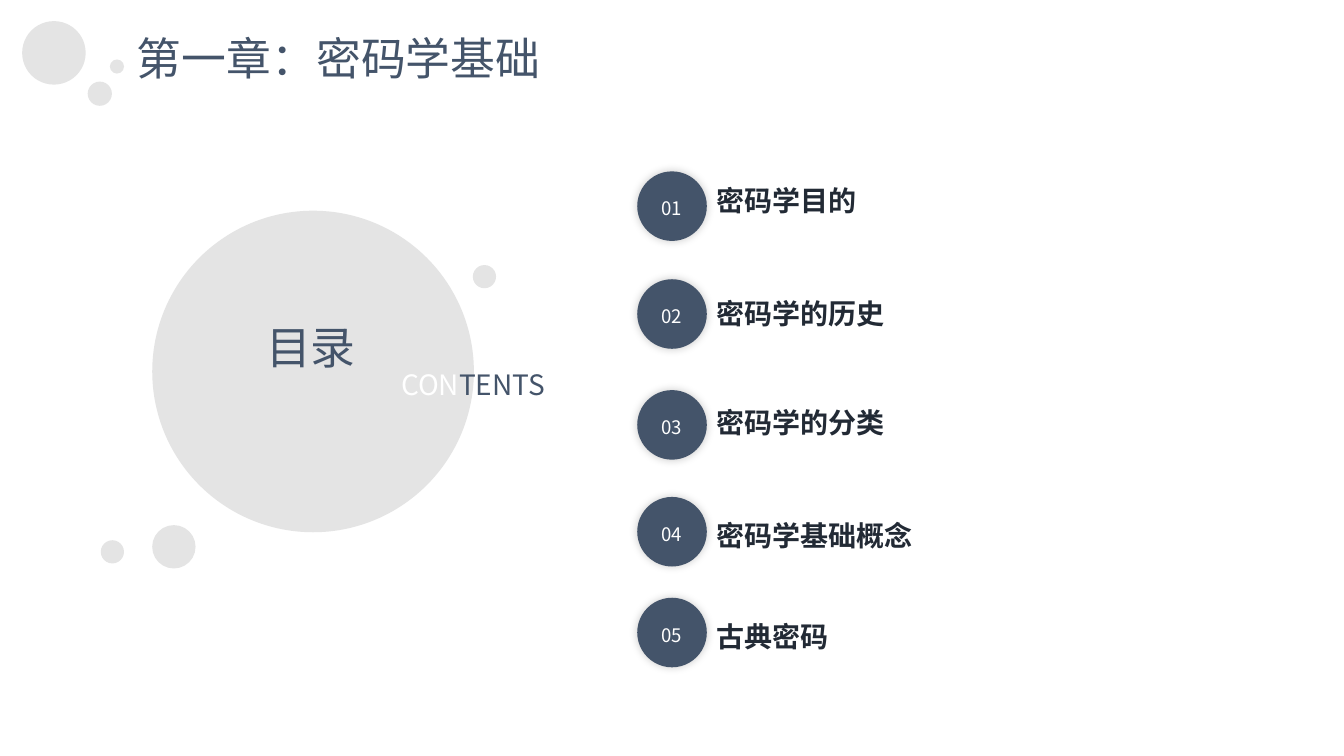
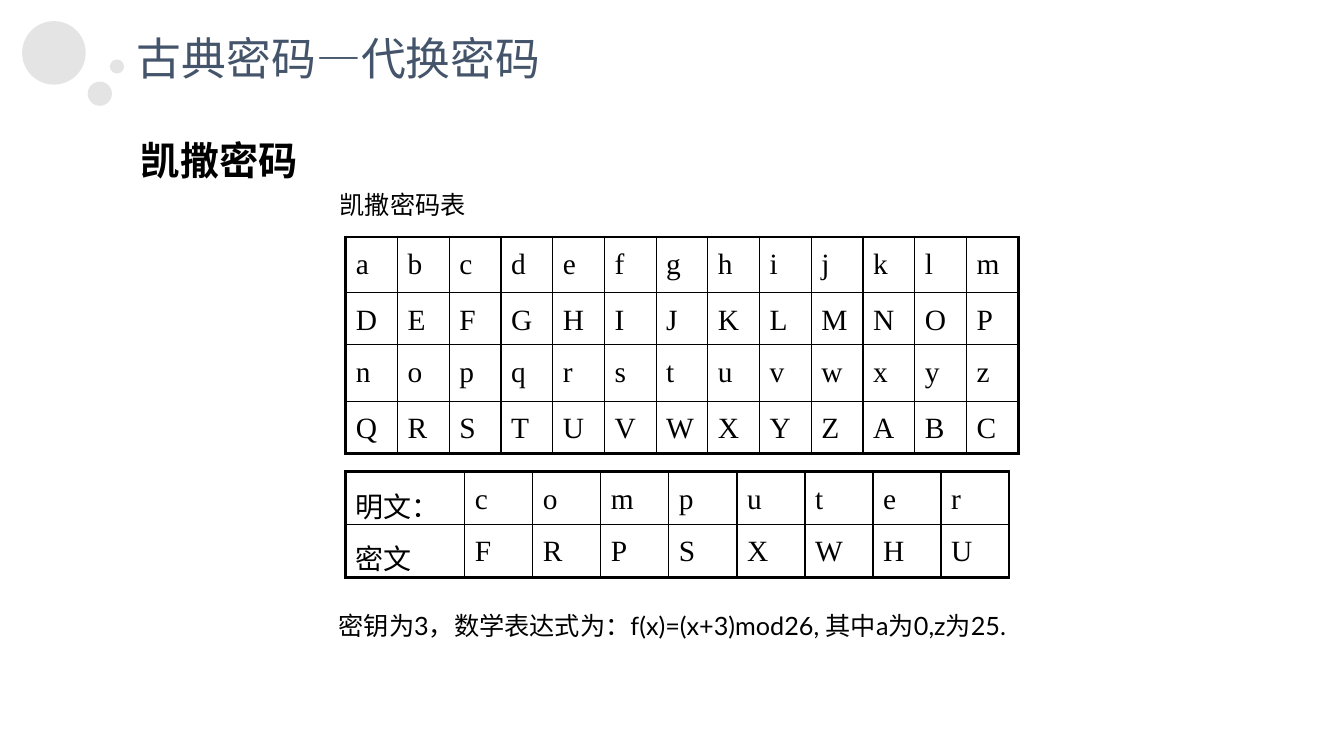
from lxml import etree
from pptx import Presentation
from pptx.dml.color import RGBColor
from pptx.enum.shapes import MSO_SHAPE
from pptx.enum.text import MSO_ANCHOR, MSO_AUTO_SIZE, PP_ALIGN
from pptx.oxml.ns import qn
from pptx.util import Inches, Pt

CIRCLE = MSO_SHAPE.OVAL
BUBBLE = MSO_SHAPE.FLOWCHART_CONNECTOR
MIDDLE = MSO_ANCHOR.MIDDLE
GROW = MSO_AUTO_SIZE.SHAPE_TO_FIT_TEXT
LEFT, CENTER, JUSTIFY = PP_ALIGN.LEFT, PP_ALIGN.CENTER, PP_ALIGN.JUSTIFY

SLATE, INK, GRAY = "44546A", "222A35", "D9D9D9"
WHITE, BLACK = "FFFFFF", "000000"
CHINESE, BODY, SERIF = "Noto Sans CJK SC", "Lato", "Times New Roman"
THICK, THIN = 2.25, 1

CORNER_BUBBLES = [(0.22, 0.21, 0.63), (0.87, 0.81, 0.24), (1.09, 0.59, 0.14)]
CONTENTS_BUBBLES = [
    (1.51, 2.09, 3.19),
    (1.51, 5.21, 0.43),
    (1.0, 5.36, 0.23),
    (4.69, 2.63, 0.23),
]
AGENDA = [
    ("密码学目的", 1.7, 1.85),
    ("密码学的历史", 2.77, 2.98),
    ("密码学的分类", 3.87, 4.06),
    ("密码学基础概念", 4.93, 5.18),
    ("古典密码", 5.93, 6.18),
]
ALPHABET_ROWS = ["abcdefghijklm", "DEFGHIJKLMNOP", "nopqrstuvwxyz", "QRSTUVWXYZABC"]
EXAMPLE_ROWS = [["明文：", *"computer"], ["密文", *"FRPSXWHU"]]


def color(value):
    return RGBColor.from_string(value)


def add_run(paragraph, text, size, value, font=CHINESE, bold=False):
    run = paragraph.add_run()
    run.text = text
    run.font.size = Pt(size)
    run.font.name = font
    run.font.bold = bold
    run.font.color.rgb = color(value)
    east_asian = etree.SubElement(run.font._element, qn("a:ea"))
    east_asian.set("typeface", CHINESE)


def add_text(shapes, box, runs, align=LEFT, wrap=True, spacing=None, before=None):
    shape = shapes.add_textbox(*map(Inches, box))
    frame = shape.text_frame
    frame.word_wrap = wrap
    frame.auto_size = GROW
    paragraph = frame.paragraphs[0]
    paragraph.alignment = align
    paragraph.line_spacing = spacing
    paragraph.space_before = before
    for run in runs:
        add_run(paragraph, *run)


def add_circle(shapes, kind, left, top, size, value):
    shape = shapes.add_shape(kind, *map(Inches, (left, top, size, size)))
    shape.shadow.inherit = False
    shape.fill.solid()
    shape.fill.fore_color.rgb = color(value)
    shape.line.fill.background()
    return shape


def set_alpha(color_element, percent):
    etree.SubElement(color_element, qn("a:alpha")).set("val", str(percent * 1000))


def add_bubbles(shapes, bubbles):
    result = []
    for left, top, size in bubbles:
        shape = add_circle(shapes, BUBBLE, left, top, size, GRAY)
        set_alpha(shape.element.spPr.find(f"{qn('a:solidFill')}/{qn('a:srgbClr')}"), 70)
        result.append(shape)
    return result


def add_soft_shadow(shape):
    effects = shape.element.spPr.find(qn("a:effectLst"))
    shadow = etree.SubElement(effects, qn("a:outerShdw"))
    shadow.set("blurRad", str(Pt(6)))
    shadow.set("dist", "0")
    shadow.set("dir", str(315 * 60000))
    shadow_color = etree.SubElement(shadow, qn("a:srgbClr"))
    shadow_color.set("val", BLACK)
    set_alpha(shadow_color, 20)


def add_agenda_entry(slide, number, label, circle_top, label_top):
    shapes = slide.shapes.add_group_shape().shapes
    circle = add_circle(shapes, CIRCLE, 6.32, circle_top, 0.69, SLATE)
    add_soft_shadow(circle)
    frame = circle.text_frame
    frame.margin_left = frame.margin_right = frame.margin_top = frame.margin_bottom = 0
    frame.vertical_anchor = MIDDLE
    paragraph = frame.paragraphs[0]
    paragraph.alignment = CENTER
    paragraph.line_spacing = 1.2
    add_run(paragraph, f"{number:02}", 13.3, WHITE)
    add_text(shapes, (7.01, label_top, 4.82, 0.35), [(label, 20, INK, CHINESE, True)],
             spacing=Pt(18))


def set_borders(cell, widths):
    properties = cell._tc.get_or_add_tcPr()
    for position, (side, width) in enumerate(zip("LRTB", widths)):
        line = etree.Element(qn(f"a:ln{side}"))
        line.set("w", str(Pt(width)))
        fill = etree.SubElement(line, qn("a:solidFill"))
        etree.SubElement(fill, qn("a:srgbClr")).set("val", BLACK)
        properties.insert(position, line)


def add_grid(slide, left, top, column_widths, row_heights, rows):
    box = (left, top, sum(column_widths), sum(row_heights))
    frame = slide.shapes.add_table(len(rows), len(column_widths), *map(Inches, box))
    table = frame.table
    table.first_row = table.horz_banding = False
    for column, width in zip(table.columns, column_widths):
        column.width = Inches(width)
    for row, height in zip(table.rows, row_heights):
        row.height = Inches(height)
    last_row, last_column = len(rows) - 1, len(column_widths) - 1
    for row_index, row in enumerate(rows):
        for column_index, text in enumerate(row):
            cell = table.cell(row_index, column_index)
            cell.fill.background()
            edges = (column_index == 0, column_index == last_column,
                     row_index == 0, row_index == last_row)
            set_borders(cell, [THICK if edge else THIN for edge in edges])
            paragraph = cell.text_frame.paragraphs[0]
            paragraph.line_spacing = 1.2
            if text.isascii():
                add_run(paragraph, text, 21, BLACK, SERIF)
            else:
                cell.margin_bottom = 0
                add_run(paragraph, text, 20, BLACK)


def add_slide(presentation, layout, title):
    slide = presentation.slides.add_slide(layout)
    add_text(slide.shapes, (1.26, 0.26, 4.24, 0.64), [(title, 32, SLATE)], wrap=False)
    return slide


def build_contents(slide):
    for number, entry in enumerate(AGENDA, 1):
        add_agenda_entry(slide, number, *entry)
    add_bubbles(slide.shapes, CONTENTS_BUBBLES)
    add_text(slide.shapes, (2.54, 3.12, 1.11, 0.64), [("目录", 32, SLATE)], JUSTIFY)
    add_text(slide.shapes, (3.88, 3.6, 1.97, 0.44),
             [("CON", 20, WHITE), ("TENTS", 20, SLATE)], JUSTIFY)


def build_caesar(slide):
    add_text(slide.shapes, (1.3, 1.3, 1.87, 0.64),
             [("凯撒密码", 28, BLACK, CHINESE, True)], before=Pt(10))
    add_grid(slide, 3.43, 2.35, [6.67 / 13] * 13, [0.55, 0.52, 0.56, 0.52], ALPHABET_ROWS)
    add_grid(slide, 3.43, 4.68, [1.18] + [0.675] * 8, [0.51, 0.53], EXAMPLE_ROWS)
    add_text(slide.shapes, (3.27, 1.83, 3.22, 0.4), [("凯撒密码表", 18, BLACK, BODY)])
    add_text(slide.shapes, (3.26, 6.01, 7.01, 0.4),
             [("密钥为3，数学表达式为：f(x)=(x+3)mod26, 其中a为0,z为25.", 18, BLACK, BODY)])


def main():
    presentation = Presentation()
    presentation.slide_width = Inches(13.33)
    presentation.slide_height = Inches(7.5)
    layout = presentation.slide_layouts[6]
    contents = add_slide(presentation, layout, "第一章：密码学基础")
    for bubble in add_bubbles(contents.shapes, CORNER_BUBBLES):
        layout.shapes.element.append(bubble.element)
    build_contents(contents)
    build_caesar(add_slide(presentation, layout, "古典密码—代换密码"))
    presentation.save("out.pptx")


if __name__ == "__main__":
    main()
